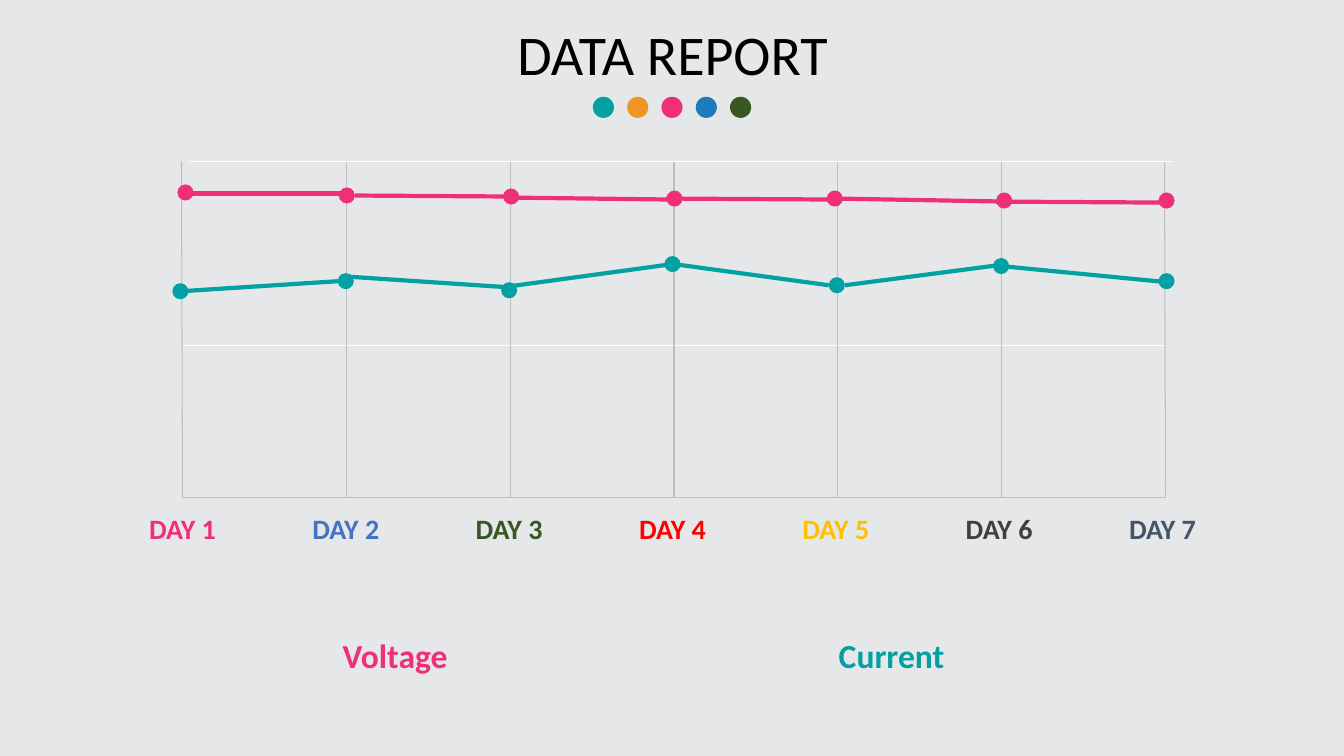
"""Build the DATA REPORT slide: voltage and current over seven days."""
from lxml.etree import SubElement
from pptx import Presentation
from pptx.dml.color import RGBColor
from pptx.enum.shapes import MSO_CONNECTOR, MSO_SHAPE
from pptx.enum.text import MSO_AUTO_SIZE, PP_ALIGN
from pptx.oxml.ns import qn
from pptx.util import Inches, Pt

BACKGROUND = RGBColor(0xE6, 0xE7, 0xE9)
BLACK = RGBColor(0x00, 0x00, 0x00)
WHITE = RGBColor(0xFF, 0xFF, 0xFF)
GRID = RGBColor(0xBF, 0xBF, 0xBF)
TEAL = RGBColor(0x03, 0xA1, 0xA4)
ORANGE = RGBColor(0xEE, 0x95, 0x24)
PINK = RGBColor(0xEF, 0x30, 0x78)
BLUE = RGBColor(0x1C, 0x7C, 0xBB)
GREEN = RGBColor(0x38, 0x57, 0x23)
SKY = RGBColor(0x44, 0x72, 0xC4)
RED = RGBColor(0xFF, 0x00, 0x00)
GOLD = RGBColor(0xFF, 0xC0, 0x00)
CHARCOAL = RGBColor(0x40, 0x40, 0x40)
SLATE = RGBColor(0x44, 0x54, 0x6A)

prs = Presentation()
prs.slide_width, prs.slide_height = Inches(13.33), Inches(7.5)
s = prs.slides.add_slide(prs.slide_layouts[6])
s.background.fill.solid()
s.background.fill.fore_color.rgb = BACKGROUND


def add_text(text, box, size, color, bold=True, align=PP_ALIGN.CENTER):
    tf = s.shapes.add_textbox(*map(Inches, box)).text_frame
    tf.word_wrap = True
    tf.auto_size = MSO_AUTO_SIZE.SHAPE_TO_FIT_TEXT
    p = tf.paragraphs[0]
    p.text = text
    p.alignment = align
    font = p.runs[0].font
    font.name, font.size, font.bold = "Calibri", Pt(size), bold
    font.color.rgb = color


add_text("DATA REPORT", (2.69, 0.14, 7.96, 0.77), 40, BLACK, bold=False)

first_day, last_day, pitch = 1.81, 11.56, 1.625
top, bottom = 1.6, 4.94
grid = [
    (first_day, bottom, last_day, bottom, GRID),
    (first_day, 3.43, last_day, 3.43, WHITE),
]
for i in range(7):
    x = first_day + i * pitch
    lean = 0.01 if i in (0, 6) else 0
    grid.append((x, bottom, x - lean, top, GRID))
grid.append((1.87, top, 11.62, top, WHITE))

voltage_segments = [
    (1.8, 1.92, 3.45, 1.92), (3.52, 1.94, 5.14, 1.95), (5.03, 1.96, 6.69, 1.98),
    (6.61, 1.97, 8.33, 1.98), (8.28, 1.97, 9.98, 2), (9.9, 2, 11.57, 2.01),
]
current_segments = [
    (1.79, 2.89, 3.35, 2.79), (5.04, 2.85, 3.38, 2.74), (6.67, 2.62, 5.06, 2.84),
    (8.22, 2.83, 6.68, 2.62), (9.91, 2.63, 8.38, 2.83), (11.58, 2.8, 9.93, 2.64),
]
lines = [(*row, 0.75) for row in grid]
lines += [(*ends, PINK, 3) for ends in voltage_segments]
lines += [(*ends, TEAL, 3) for ends in current_segments]
for x1, y1, x2, y2, color, width in lines:
    ends = map(Inches, (x1, y1, x2, y2))
    line = s.shapes.add_connector(MSO_CONNECTOR.STRAIGHT, *ends)
    line.line.color.rgb = color
    line.line.width = Pt(width)
    SubElement(line._element.spPr, qn("a:effectLst"))

voltage_points = [(1.76, 1.83), (3.36, 1.86), (4.99, 1.87), (6.61, 1.89),
                  (8.2, 1.89), (9.88, 1.91), (11.49, 1.91)]
current_points = [(1.71, 2.81), (3.35, 2.71), (4.97, 2.8), (6.59, 2.54),
                  (8.22, 2.75), (9.85, 2.56), (11.49, 2.71)]
title_colors = [TEAL, ORANGE, PINK, BLUE, GREEN]
dots = [(5.88 + i * 0.34, 0.96, 0.21, c) for i, c in enumerate(title_colors)]
dots += [(x, y, 0.16, PINK) for x, y in voltage_points]
dots += [(x, y, 0.16, TEAL) for x, y in current_points]
for x, y, size, color in dots:
    box = map(Inches, (x, y, size, size))
    sp = s.shapes.add_shape(MSO_SHAPE.OVAL, *box)
    sp.fill.solid()
    sp.fill.fore_color.rgb = color
    sp.line.fill.background()
    sp.shadow.inherit = False

day_colors = [PINK, SKY, GREEN, RED, GOLD, CHARCOAL, SLATE]
for i, color in enumerate(day_colors):
    add_text(f"DAY {i + 1}", (1.07 + i * 1.62, 5.03, 1.48, 0.44), 20, color)

for name, x, color in [("Voltage", 3.3, PINK), ("Current", 8.22, TEAL)]:
    add_text(name, (x, 6.25, 1.82, 0.5), 24, color, align=PP_ALIGN.LEFT)

prs.save("out.pptx")
